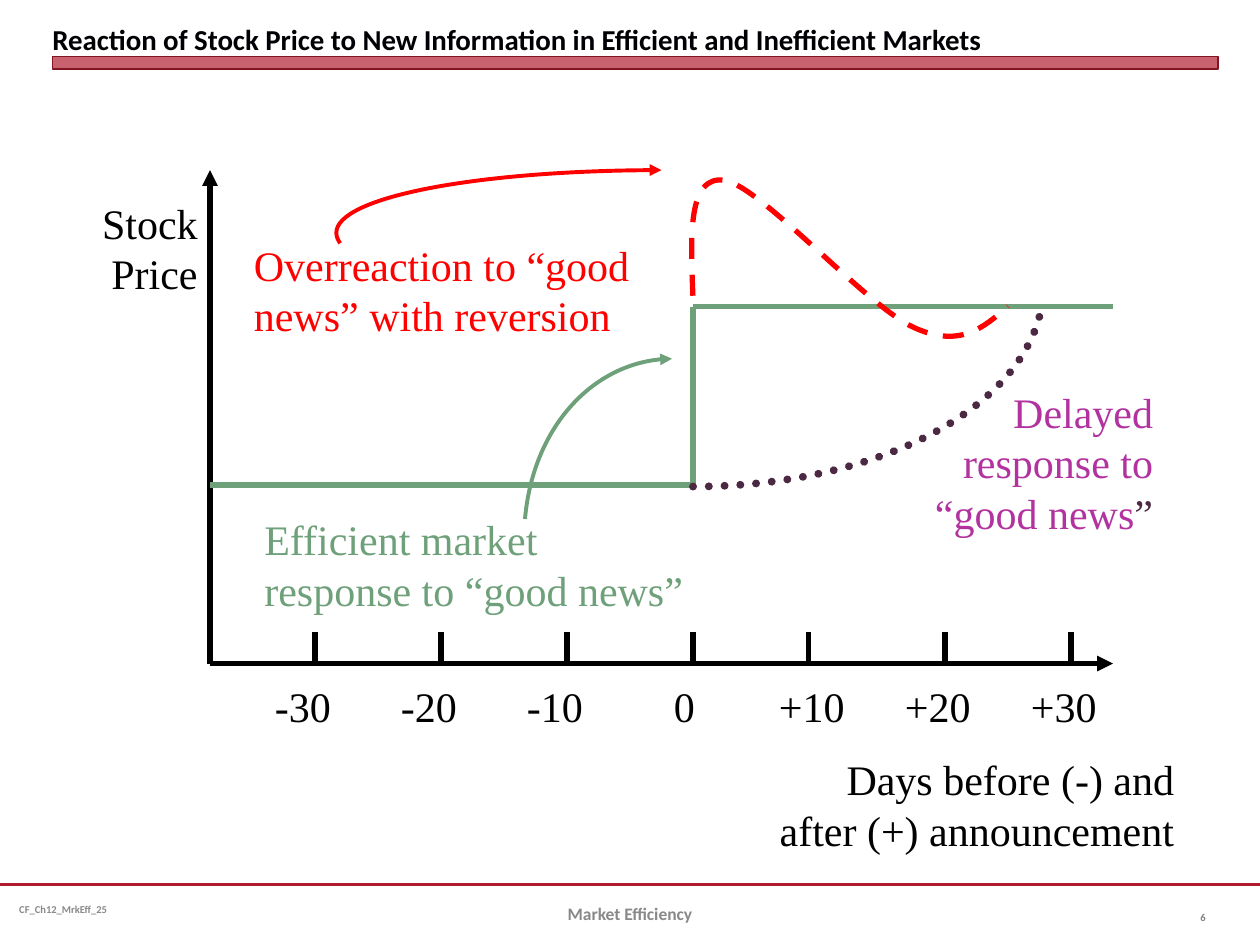
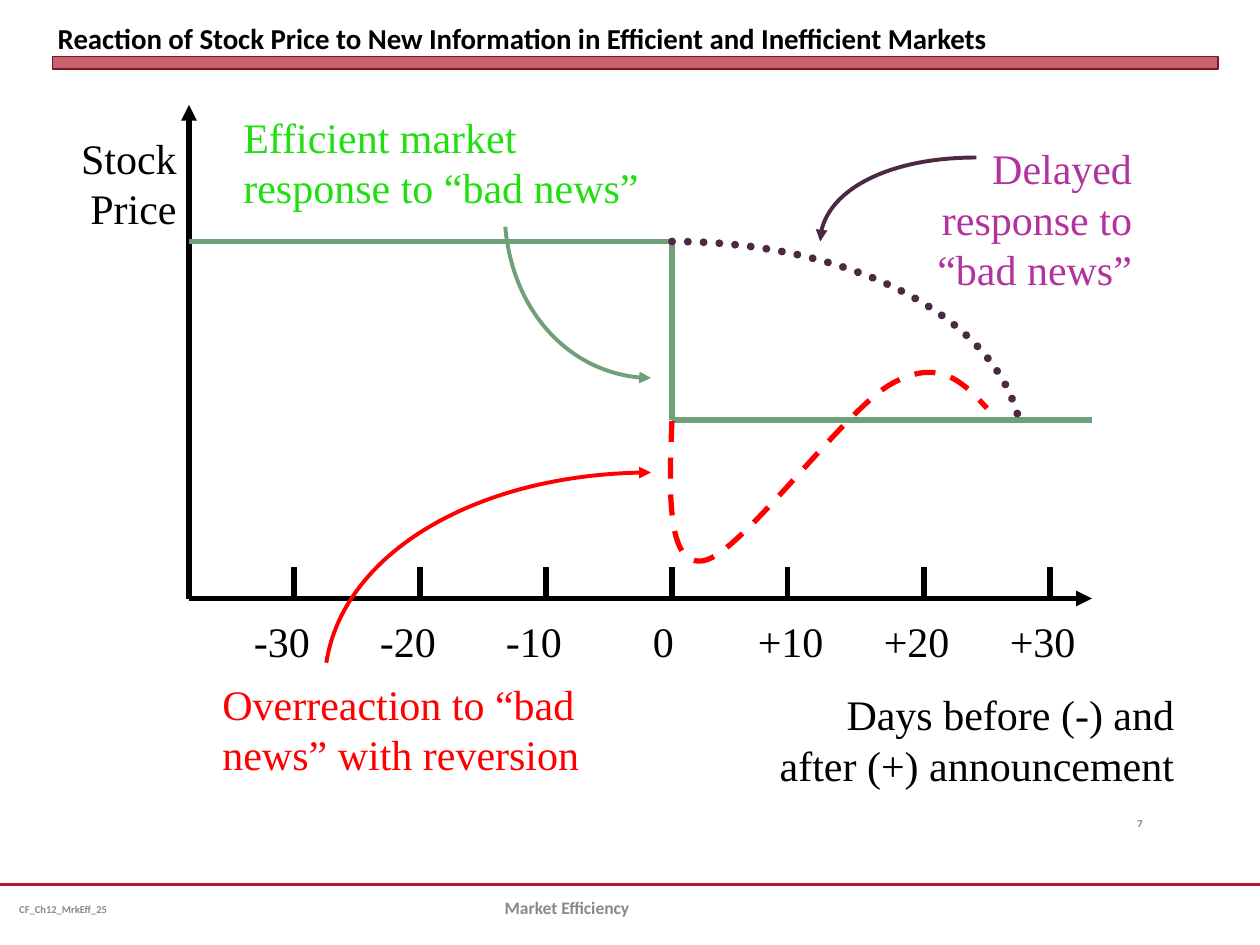
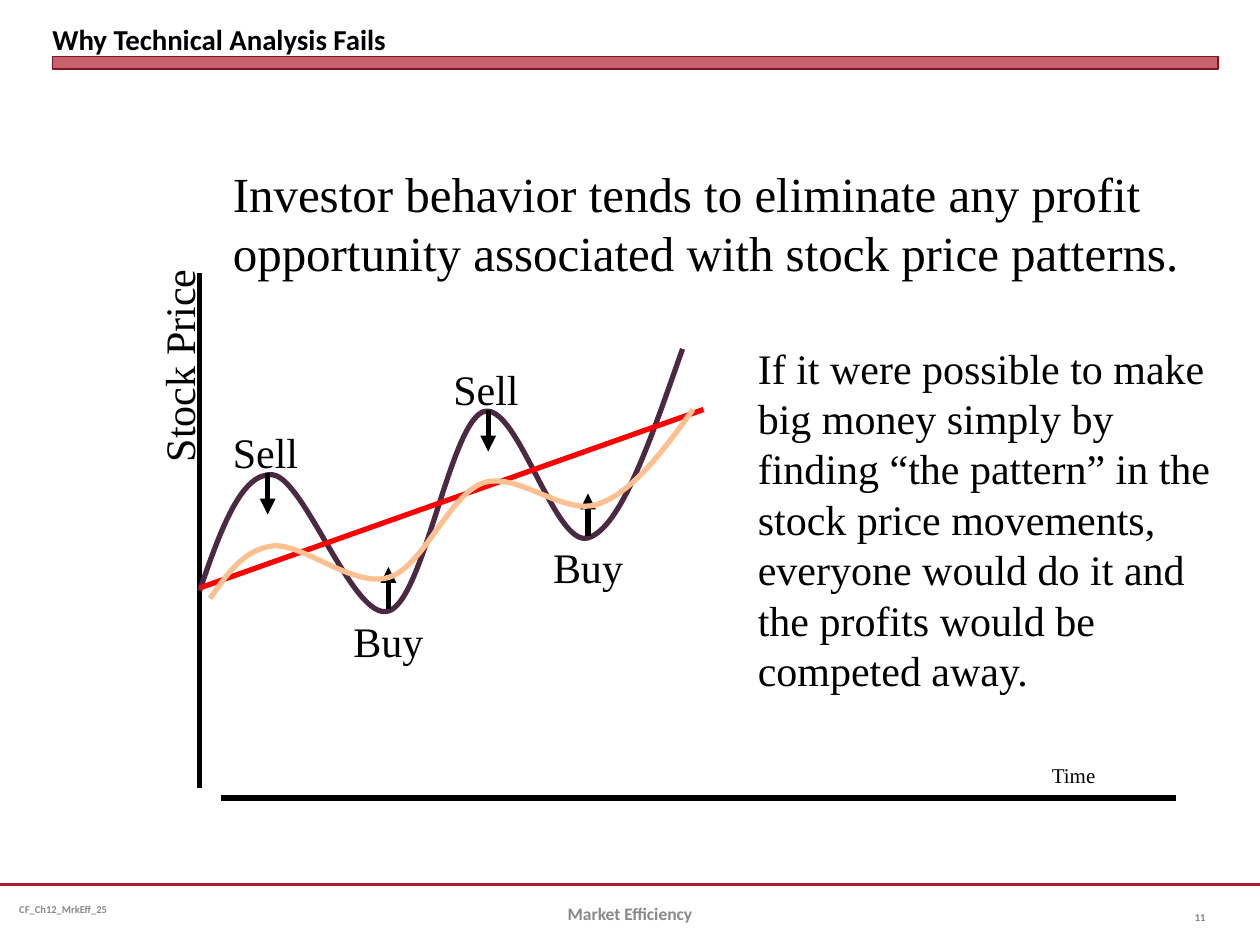
import lxml.etree
import pptx
import pptx.dml.color
import pptx.enum.dml
import pptx.enum.shapes
import pptx.enum.text
import pptx.oxml.ns
import pptx.util

Pt = pptx.util.Pt
qn = pptx.oxml.ns.qn
ALIGN = pptx.enum.text.PP_ALIGN
ANCHOR = pptx.enum.text.MSO_ANCHOR
DASH = pptx.enum.dml.MSO_LINE

COLORS = {
    "black": "000000",
    "title": "010004",
    "crimson": "B01C2E",
    "crimson_edge": "821522",
    "footer": "898989",
    "number": "808080",
    "efficient": "6EA07A",
    "bright_green": "20DF11",
    "overreaction": "FF0000",
    "delayed": "4B2942",
    "delayed_label": "B233A0",
    "smoothed": "FEC091",
}
SERIF = "Times New Roman"
SANS = "Calibri"
AXIS_WIDTH, AXIS_HEIGHT = 516, 282
ZERO_DAY = 276
TICKS = [60, 132, 204, ZERO_DAY, 342, 420, 492]
DAY_TABS = [72, 144, 228, 288, 360, 432]


def rgb(name):
    return pptx.dml.color.RGBColor.from_string(COLORS[name])


def style_font(font, size, color, name=SERIF, bold=False):
    font.size = Pt(size)
    font.name = name
    font.bold = bold
    font.color.rgb = rgb(color)


def add_text(page, place, text, size=24, color="black", align=ALIGN.LEFT,
             name=SERIF, bold=False, anchor=ANCHOR.TOP, tabs=()):
    box = page.shapes.add_textbox(*map(Pt, place))
    frame = box.text_frame
    frame.word_wrap = True
    frame.vertical_anchor = anchor
    para = frame.paragraphs[0]
    para.text = text
    para.alignment = align
    if tabs:
        properties = para._p.get_or_add_pPr()
        tab_list = lxml.etree.SubElement(properties, qn("a:tabLst"))
        for stop in tabs:
            lxml.etree.SubElement(tab_list, qn("a:tab"), pos=str(int(Pt(stop))), algn="l")
    style_font(para.font, size, color, name, bold)
    return box


def style_stroke(shape, color, width, dash=None, arrow=False):
    shape.line.color.rgb = rgb(color)
    shape.line.width = Pt(width)
    properties = shape.element.spPr
    outline = properties.find(qn("a:ln"))
    if dash:
        shape.line.dash_style = dash
    if dash == DASH.ROUND_DOT:
        outline.set("cap", "rnd")
    if arrow:
        lxml.etree.SubElement(outline, qn("a:tailEnd"), type="triangle")
    lxml.etree.SubElement(properties, qn("a:effectLst"))


def add_line(page, start, end, color="black", width=3, arrow=False):
    line = page.shapes.add_connector(
        pptx.enum.shapes.MSO_CONNECTOR.STRAIGHT, *map(Pt, start + end))
    style_stroke(line, color, width, arrow=arrow)
    return line


def add_curve(page, points, color, width=3, dash=None, arrow=False):
    corners = [(Pt(x), Pt(y)) for x, y in points]
    builder = page.shapes.build_freeform(*corners[0], scale=1.0)
    builder.add_line_segments(corners[1:], close=False)
    curve = builder.convert_to_shape()
    outline = next(curve.element.iter(qn("a:path")))
    segments = outline.findall(qn("a:lnTo"))
    for first in range(0, len(segments), 3):
        bezier = lxml.etree.SubElement(outline, qn("a:cubicBezTo"))
        for segment in segments[first:first + 3]:
            bezier.append(segment[0])
            outline.remove(segment)
    curve.fill.background()
    style_stroke(curve, color, width, dash, arrow)


def furnish_layout(layout, page):
    for holder in list(layout.placeholders):
        if holder.placeholder_format.idx != 0:
            layout.shapes.element.remove(holder.element)
    rule = add_line(page, (0, 505.5), (720, 505.5), "crimson", 1.25)
    label = add_text(page, (6, 505.5, 186, 28.8), "CF_Ch12_MrkEff_25", 6, "footer",
                     name=SANS, bold=True, anchor=ANCHOR.MIDDLE)
    label.text_frame.margin_left = label.text_frame.margin_right = Pt(5)
    bar = page.shapes.add_shape(pptx.enum.shapes.MSO_SHAPE.RECTANGLE,
                                *map(Pt, (30, 32.4, 666, 7)))
    bar.shadow.inherit = False
    bar.fill.solid()
    bar.fill.fore_color.rgb = rgb("crimson")
    fill_color = next(bar.element.spPr.iter(qn("a:srgbClr")))
    lxml.etree.SubElement(fill_color, qn("a:alpha"), val="69000")
    bar.line.color.rgb = rgb("crimson_edge")
    bar.line.width = Pt(0)
    for shape in (rule, label, bar):
        layout.shapes.element.append(shape.element)


def fill_frame(page, title, number, title_at=(30, 3.6), number_at=(660, 510),
               footer_at=(246, 507.6)):
    heading = page.shapes.title
    heading.left, heading.top = map(Pt, title_at)
    heading.width, heading.height = Pt(666), Pt(28.8)
    frame = heading.text_frame
    frame.margin_left = frame.margin_right = frame.margin_top = frame.margin_bottom = 0
    frame.auto_size = pptx.enum.text.MSO_AUTO_SIZE.NONE
    frame.word_wrap = True
    frame.vertical_anchor = ANCHOR.BOTTOM
    para = frame.paragraphs[0]
    para.text = title
    para.alignment = ALIGN.LEFT
    style_font(para.font, 16.5, "title", SANS, True)
    add_text(page, number_at + (36, 28.8), number, 6, "number", ALIGN.RIGHT,
             SANS, True, ANCHOR.MIDDLE)
    add_text(page, footer_at + (228, 28.8), "Market Efficiency", 10, "footer",
             ALIGN.CENTER, SANS, True, ANCHOR.MIDDLE)


def draw_event_axes(page, left, base):
    top = base - AXIS_HEIGHT
    add_line(page, (left, base), (left, top), arrow=True)
    add_line(page, (left, base), (left + AXIS_WIDTH, base), arrow=True)
    add_text(page, (left - 96, top + 12, 96, 64.8), "Stock Price", align=ALIGN.RIGHT)
    add_text(page, (left + 30, base + 6, 498, 36),
             "-30\t-20\t-10\t0\t+10\t+20\t+30", tabs=DAY_TABS)
    for tick in TICKS:
        add_line(page, (left + tick, base), (left + tick, base - 18))
    add_text(page, (438, base + 48, 240, 64.8),
             "Days before (-) and after (+) announcement", align=ALIGN.RIGHT)


def draw_price_step(page, left, before, after):
    zero = left + ZERO_DAY
    corners = [(left, before), (zero, before), (zero, after), (left + AXIS_WIDTH, after)]
    for start, end in zip(corners, corners[1:]):
        add_line(page, start, end, "efficient")


def add_signal(page, word, x, y):
    group = page.shapes.add_group_shape()
    if word == "Sell":
        add_line(group, (x, y), (x, y + 24), arrow=True)
        add_text(group, (x - 27, y - 30, 54, 36), word)
    else:
        add_line(group, (x, y), (x, y - 24), arrow=True)
        add_text(group, (x - 30, y, 60, 36), word, align=ALIGN.CENTER)


def draw_good_news(page):
    draw_event_axes(page, 120, 379.2)
    draw_price_step(page, 120, 277.2, 175.2)
    add_text(page, (144, 290, 258, 64.8), "Efficient market response to “good news”",
             color="efficient")
    add_curve(page, [(300, 296.6), (304.5, 245), (341, 205), (384, 205)],
              "efficient", 2.25, arrow=True)
    add_curve(page, [(396, 169), (394.6, 134.6), (393, 100), (414, 103),
                     (435, 106.6), (495.4, 175), (522, 187),
                     (548.6, 199.4), (562.3, 187), (576, 175)],
              "overreaction", dash=DASH.DASH)
    add_text(page, (138, 133.2, 258, 64.8), "Overreaction to “good news” with reversion",
             color="overreaction")
    add_curve(page, [(194.4, 139), (193, 137), (192.2, 135), (192.2, 133),
                     (192.2, 113), (273, 97.2), (378, 97.2)],
              "overreaction", 2.25, arrow=True)
    add_curve(page, [(396, 278), (497.5, 278), (579, 237), (594, 180.7)],
              "delayed", 4.5, DASH.ROUND_DOT)
    label = add_text(page, (492, 217.2, 174, 93.6), "Delayed response to “good news",
                     color="delayed_label", align=ALIGN.RIGHT)
    span = label.text_frame.paragraphs[0].add_run()
    span.text = "”"
    span.font.color.rgb = rgb("delayed")


def draw_bad_news(page):
    draw_event_axes(page, 108, 342)
    draw_price_step(page, 108, 138, 240)
    add_text(page, (132, 60, 258, 64.8), "Efficient market response to “bad news”",
             color="bright_green")
    add_curve(page, [(288.7, 129.6), (293, 178.6), (329, 216), (372, 216)],
              "efficient", 2.25, arrow=True)
    add_curve(page, [(384, 240.5), (382.3, 282), (381, 324), (402, 320.4),
                     (423.4, 316.8), (483, 233.3), (510, 219),
                     (537, 204), (551, 219), (564, 233.3)],
              "overreaction", dash=DASH.DASH)
    add_text(page, (120, 384, 258, 64.8), "Overreaction to “bad news” with reversion",
             color="overreaction")
    add_curve(page, [(186.5, 378.7), (196, 316.8), (273.6, 270), (372, 270)],
              "overreaction", 2.25, arrow=True)
    add_curve(page, [(384, 138), (486, 138), (567.4, 180.7), (582, 239)],
              "delayed", 4.5, DASH.ROUND_DOT)
    add_text(page, (480, 78, 174, 93.6), "Delayed response to “bad news”",
             color="delayed_label", align=ALIGN.RIGHT)
    add_curve(page, [(558, 90), (508.3, 90), (468.7, 111), (468.7, 138)],
              "delayed", 2.25, arrow=True)


def draw_technical_analysis(page):
    add_line(page, (114, 156), (114, 450))
    add_line(page, (126, 456), (672, 456))
    price_label = add_text(page, (32.4, 183.6, 139, 36), "Stock Price")
    price_label.rotation = 270
    add_text(page, (594, 432, 72, 21.6), "Time", 12)
    add_text(page, (126, 90, 570, 74.2),
             "Investor behavior tends to eliminate any profit opportunity "
             "associated with stock price patterns.", 28)
    add_text(page, (426, 192, 282, 208.8),
             "If it were possible to make big money simply by finding “the pattern” "
             "in the stock price movements, everyone would do it and the profits "
             "would be competed away.")
    add_curve(page, [(114, 337.7), (126, 303), (138, 269.3), (156, 271.4),
                     (174, 273.6), (202.3, 355.7), (222, 349.2),
                     (242, 343.4), (257, 242.6), (276, 235.4),
                     (295.2, 228.2), (316.8, 313.2), (336, 307.4),
                     (355, 301.7), (372, 250.6), (390, 199.4)], "delayed")
    add_line(page, (114, 336), (402, 234), "overreaction")
    for word, x, y in [("Sell", 153, 270), ("Sell", 279, 234),
                       ("Buy", 222, 348), ("Buy", 336, 306)]:
        add_signal(page, word, x, y)
    add_curve(page, [(120, 342), (129.6, 328.3), (139, 314), (156, 312),
                     (172.8, 310.3), (202.3, 336.2), (222, 330),
                     (242, 324), (256.3, 283), (276, 276),
                     (296, 269.3), (322, 295.2), (342, 288),
                     (362, 280.8), (378.7, 257.8), (396, 234)], "smoothed")


def main():
    deck = pptx.Presentation()
    deck.slide_width, deck.slide_height = Pt(720), Pt(540)
    layout = deck.slide_layouts[5]
    good_news, bad_news, technical = [deck.slides.add_slide(layout) for _ in range(3)]
    furnish_layout(layout, good_news)
    reaction = "Reaction of Stock Price to New Information in Efficient and Inefficient Markets"
    fill_frame(good_news, reaction, "6")
    draw_good_news(good_news)
    fill_frame(bad_news, reaction, "7", (33, 3), (624, 456), (210, 504))
    draw_bad_news(bad_news)
    fill_frame(technical, "Why Technical Analysis Fails", "11")
    draw_technical_analysis(technical)
    deck.save("out.pptx")


if __name__ == "__main__":
    main()
